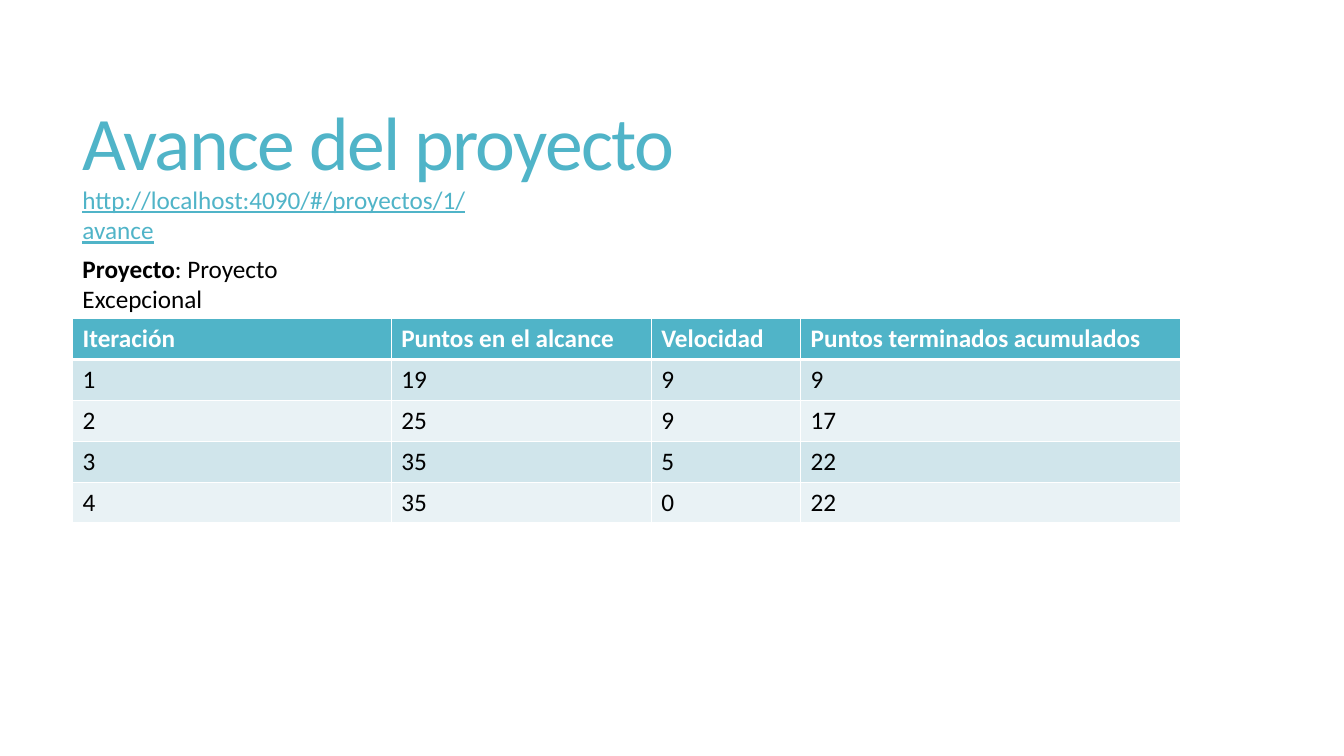
from lxml.etree import SubElement
from pptx import Presentation
from pptx.dml.color import RGBColor
from pptx.enum.text import MSO_ANCHOR, MSO_AUTO_SIZE, PP_ALIGN
from pptx.oxml.ns import qn
from pptx.util import Inches, Pt

COLORS = {
    "accent": "50B4C8",
    "text": "000000",
    "white": "FFFFFF",
    "odd_row": "D0E5EB",
    "even_row": "E9F2F5",
}
FONT = "Calibri"
PROGRESS = [
    ("Iteración", "Puntos en el alcance", "Velocidad", "Puntos terminados acumulados"),
    ("1", "19", "9", "9"),
    ("2", "25", "9", "17"),
    ("3", "35", "5", "22"),
    ("4", "35", "0", "22"),
]
COLUMN_SHARES = (3.16, 2.58, 1.48, 3.77)


def format_run(run, color, size=18, bold=False, underline=False):
    font = run.font
    font.name, font.size = FONT, Pt(size)
    font.bold, font.underline = bold, underline
    font.color.rgb = RGBColor.from_string(COLORS[color])


def add_title(slide, box):
    title = slide.shapes.title
    title.left, title.top, title.width, title.height = map(Inches, box)
    frame = title.text_frame
    frame.text = "Avance del proyecto"
    frame.vertical_anchor = MSO_ANCHOR.MIDDLE
    frame.auto_size = MSO_AUTO_SIZE.NONE
    heading = frame.paragraphs[0]
    heading.alignment, heading.line_spacing = PP_ALIGN.LEFT, 0.85
    format_run(heading.runs[0], "accent", 54)
    heading.runs[0].font._element.set("spc", "-120")


def add_line(slide, box, parts):
    frame = slide.shapes.add_textbox(*map(Inches, box)).text_frame
    frame.word_wrap = True
    for text, style in parts:
        run = frame.paragraphs[0].add_run()
        run.text = text
        format_run(run, **style)


def add_borders(cell, bottom_width):
    properties = cell._tc.get_or_add_tcPr()
    for side, width in (("L", 1), ("R", 1), ("T", 1), ("B", bottom_width)):
        border = SubElement(properties, qn(f"a:ln{side}"), w=str(Pt(width)))
        fill = SubElement(border, qn("a:solidFill"))
        SubElement(fill, qn("a:srgbClr"), val=COLORS["white"])


def add_progress_table(slide, box):
    left, top, width, height = box
    table = slide.shapes.add_table(
        len(PROGRESS), len(COLUMN_SHARES), *map(Inches, box)
    ).table
    for column, share in zip(table.columns, COLUMN_SHARES):
        column.width = Inches(width * share / sum(COLUMN_SHARES))
    for row, values in enumerate(PROGRESS):
        header = row == 0
        row_fill = "accent" if header else "odd_row" if row % 2 else "even_row"
        for col, value in enumerate(values):
            cell = table.cell(row, col)
            cell.text = value
            format_run(
                cell.text_frame.paragraphs[0].runs[0],
                "white" if header else "text",
                bold=header,
            )
            add_borders(cell, 3 if header else 1)
            cell.fill.solid()
            cell.fill.fore_color.rgb = RGBColor.from_string(COLORS[row_fill])


def build_progress_slide(deck):
    slide = deck.slides.add_slide(deck.slide_layouts[5])
    left = 0.72
    add_title(slide, (left, 0.56, 11.78, 1.81))
    add_line(slide, (left, 1.78, 4.67, 0.4), [
        ("http://localhost:4090/#/proyectos/1/avance",
         {"color": "accent", "underline": True}),
    ])
    add_line(slide, (left, 2.46, 3.33, 0.4), [
        ("Proyecto", {"color": "text", "bold": True}),
        (": Proyecto Excepcional", {"color": "text"}),
    ])
    add_progress_table(slide, (left, 3.16, 10.99, 2.03))


deck = Presentation()
deck.slide_width, deck.slide_height = Inches(13.33), Inches(7.5)
build_progress_slide(deck)
deck.save("out.pptx")
